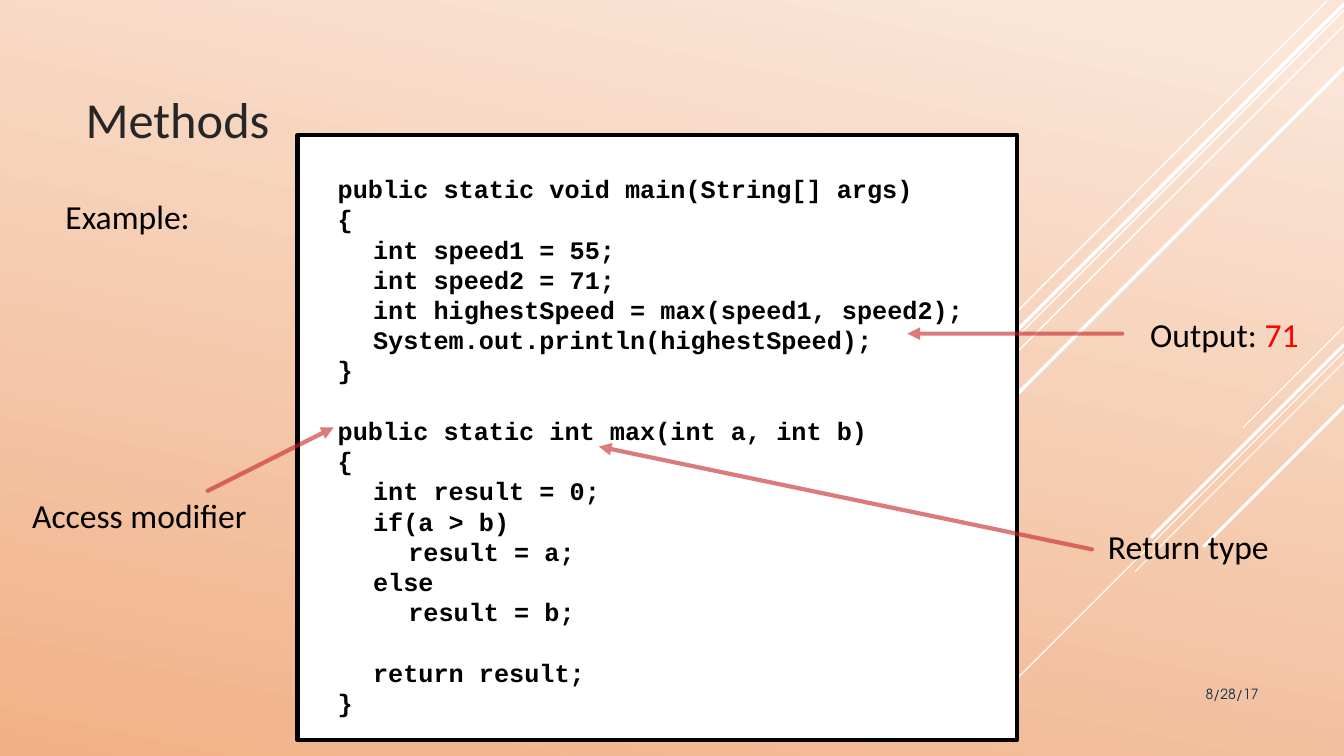
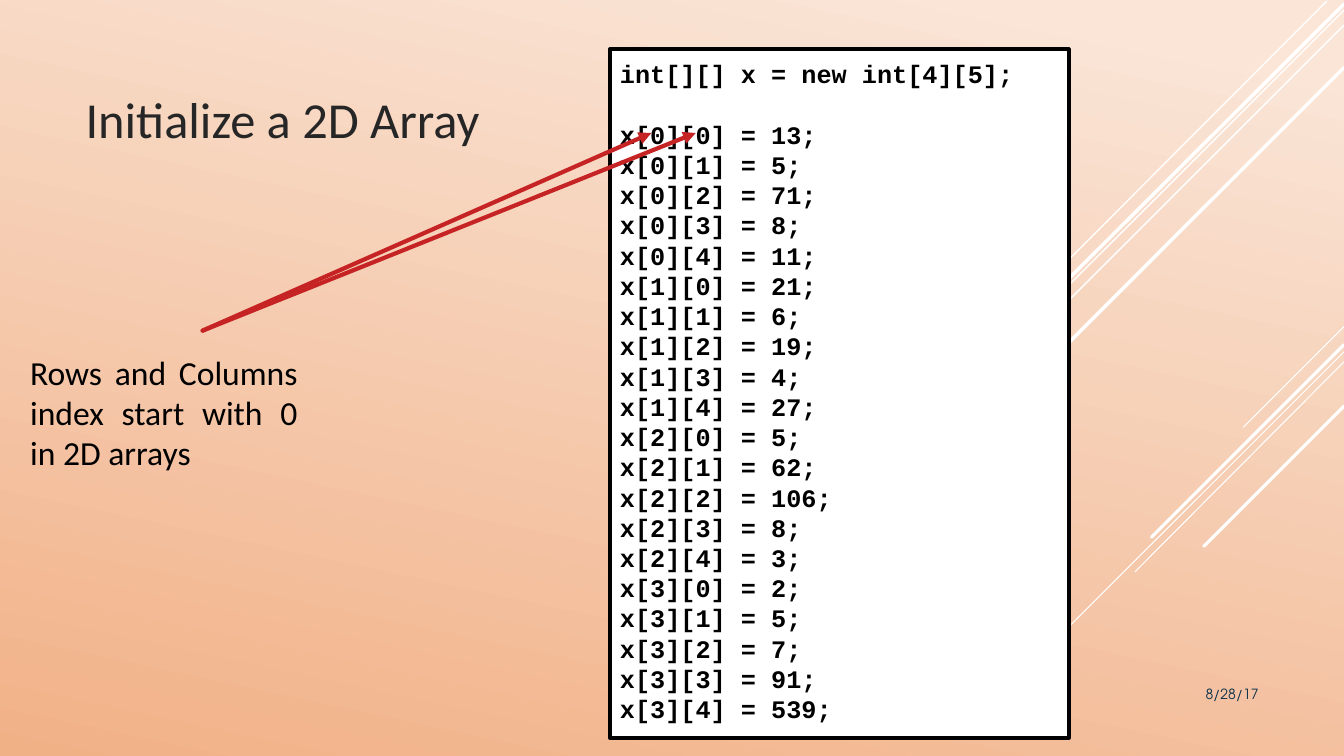
"""Build two Java teaching slides: methods and 2D array initialization."""
from typing import NamedTuple

import lxml.etree
import pptx
import pptx.dml.color
import pptx.enum.shapes
import pptx.enum.text
import pptx.oxml.ns
import pptx.presentation
import pptx.shapes.connector
import pptx.slide
import pptx.text.text
import pptx.util

PX = 9144
SLIDE_W, SLIDE_H = 1333, 750
BODY_FONT, CODE_FONT, DATE_FONT = "Calibri", "Courier New", "TeX Gyre Adventor"
BLACK, WHITE, RED = "000000", "FFFFFF", "FF0000"
TITLE_INK, DATE_INK, ARROW_RED = "262626", "0A304A", "C62324"
GLOW_TOP, GLOW_BOTTOM = "FAE5D7", "F1B187"
CODE_PITCH = 21.6
CODE_TAB = 35

ALIGN = pptx.enum.text.PP_ALIGN
ANCHOR = pptx.enum.text.MSO_ANCHOR


class Box(NamedTuple):
    left: int
    top: int
    width: int
    height: int


class Line(NamedTuple):
    x1: int
    y1: int
    x2: int
    y2: int
    weight: float


class Run(NamedTuple):
    text: str
    color: str = BLACK


class Label(NamedTuple):
    box: Box
    runs: tuple[Run, ...]


class CodePanel(NamedTuple):
    box: Box
    code: str
    inset_left: int
    inset_top: int


class Lesson(NamedTuple):
    title: str
    panel: CodePanel
    labels: tuple[Label, ...]
    arrows: tuple[Line, ...]
    arrow_opacity: int


STRIPES = (
    Line(1333, 324, 1233, 424, 0.75),
    Line(1333, 349, 1007, 675, 0.75),
    Line(1333, 359, 1126, 567, 0.75),
    Line(1333, 342, 1142, 533, 2.25),
    Line(1333, 403, 1194, 542, 2.25),
    Line(1316, 1, 900, 418, 1),
    Line(1333, 10, 668, 675, 1),
    Line(1333, 25, 791, 567, 1),
    Line(1333, 4, 802, 534, 2.5),
    Line(1333, 67, 858, 542, 2.5),
)

METHODS_CODE = """public static void main(String[] args)
{
\tint speed1 = 55;
\tint speed2 = 71;
\tint highestSpeed = max(speed1, speed2);
\tSystem.out.println(highestSpeed);
}

public static int max(int a, int b)
{
\tint result = 0;
\tif(a > b)
\t\tresult = a;
\telse
\t\tresult = b;

\treturn result;
}"""

ARRAY_VALUES = (
    (13, 5, 71, 8, 11),
    (21, 6, 19, 4, 27),
    (5, 62, 106, 8, 3),
    (2, 5, 7, 91, 539),
)
ARRAY_CODE = "int[][] x = new int[4][5];\n\n" + "\n".join(
    f"x[{row}][{column}] = {value};"
    for row, values in enumerate(ARRAY_VALUES)
    for column, value in enumerate(values)
)

LESSONS = (
    Lesson(
        "Methods",
        CodePanel(Box(295, 134, 714, 600), METHODS_CODE, 40, 38),
        (
            Label(Box(55, 189, 152, 59), (Run("Example:"),)),
            Label(Box(1131, 306, 173, 59), (Run("Output: "), Run("71", RED))),
            Label(Box(1089, 517, 203, 59), (Run("Return type"),)),
            Label(Box(22, 486, 253, 59), (Run("Access modifier"),)),
        ),
        (
            Line(1113, 331, 900, 331, 3),
            Line(1083, 545, 594, 443, 3),
            Line(206, 487, 331, 424, 3),
        ),
        60,
    ),
    Lesson(
        "Initialize a 2D Array",
        CodePanel(Box(605, 49, 455, 683), ARRAY_CODE, 10, 9),
        (
            Label(
                Box(20, 344, 285, 159),
                (Run("Rows and Columns index start with 0 in 2D arrays"),),
            ),
        ),
        (Line(201, 328, 646, 132, 3), Line(201, 328, 690, 132, 3)),
        100,
    ),
)


def px(length: int) -> int:
    """Turn pixels into EMU."""
    return pptx.util.Emu(length * PX)


def rgb(value: str) -> pptx.dml.color.RGBColor:
    """Turn a hex string into a colour."""
    return pptx.dml.color.RGBColor.from_string(value)


def add_run(paragraph: pptx.text.text._Paragraph, run: Run, font: str, size: int,
            bold: bool = False) -> None:
    """Append one formatted run to a paragraph."""
    piece = paragraph.add_run()
    piece.text = run.text
    piece.font.name = font
    piece.font.size = pptx.util.Pt(size)
    piece.font.bold = bold
    piece.font.color.rgb = rgb(run.color)


def add_text(slide: pptx.slide.Slide, box: Box, runs: tuple[Run, ...], font: str,
             size: int, align: ALIGN, anchor: ANCHOR = ANCHOR.TOP) -> None:
    """Draw a one-paragraph text box."""
    frame = slide.shapes.add_textbox(*map(px, box)).text_frame
    frame.word_wrap = True
    frame.vertical_anchor = anchor
    paragraph = frame.paragraphs[0]
    paragraph.alignment = align
    for run in runs:
        add_run(paragraph, run, font, size)


def add_line(slide: pptx.slide.Slide, line: Line,
             color: str) -> pptx.shapes.connector.Connector:
    """Draw a straight line with round ends and no shadow."""
    connector = slide.shapes.add_connector(
        pptx.enum.shapes.MSO_CONNECTOR.STRAIGHT,
        px(line.x1), px(line.y1), px(line.x2), px(line.y2),
    )
    connector.line.color.rgb = rgb(color)
    connector.line.width = pptx.util.Pt(line.weight)
    connector.get_or_add_ln().set("cap", "rnd")
    lxml.etree.SubElement(connector._element.spPr, pptx.oxml.ns.qn("a:effectLst"))
    return connector


def add_arrow(slide: pptx.slide.Slide, line: Line, opacity: int) -> None:
    """Draw a red arrow with the given opacity in percent."""
    stroke = add_line(slide, line, ARROW_RED).get_or_add_ln()
    if opacity < 100:
        color = stroke.find(".//" + pptx.oxml.ns.qn("a:srgbClr"))
        lxml.etree.SubElement(color, pptx.oxml.ns.qn("a:alpha"), val=str(opacity * 1000))
    lxml.etree.SubElement(stroke, pptx.oxml.ns.qn("a:tailEnd"), type="triangle")


def add_code(slide: pptx.slide.Slide, panel: CodePanel) -> None:
    """Draw a framed code listing, indenting by leading tabs."""
    shape = slide.shapes.add_shape(
        pptx.enum.shapes.MSO_SHAPE.RECTANGLE, *map(px, panel.box)
    )
    shape.shadow.inherit = False
    shape.fill.solid()
    shape.fill.fore_color.rgb = rgb(WHITE)
    shape.line.color.rgb = rgb(BLACK)
    shape.line.width = pptx.util.Pt(3)
    frame = shape.text_frame
    frame.word_wrap = True
    frame.vertical_anchor = ANCHOR.TOP
    frame.margin_left, frame.margin_top = px(panel.inset_left), px(panel.inset_top)
    for block_index, block in enumerate(panel.code.split("\n\n")):
        for line_index, source in enumerate(block.split("\n")):
            first = block_index == line_index == 0
            paragraph = frame.paragraphs[0] if first else frame.add_paragraph()
            paragraph.alignment = ALIGN.LEFT
            paragraph.line_spacing = pptx.util.Pt(CODE_PITCH)
            if block_index and not line_index:
                paragraph.space_before = pptx.util.Pt(CODE_PITCH)
            statement = source.lstrip("\t")
            depth = len(source) - len(statement)
            paragraph._p.get_or_add_pPr().set("marL", str(px(depth * CODE_TAB)))
            add_run(paragraph, Run(statement), CODE_FONT, 18, bold=True)


def add_backdrop(slide: pptx.slide.Slide) -> None:
    """Paint the gradient background and the white diagonal stripes."""
    fill = slide.background.fill
    fill.gradient()
    fill.gradient_angle = 360 - 102
    for stop, position, color in zip(
        fill.gradient_stops, (0.07, 1), (GLOW_TOP, GLOW_BOTTOM)
    ):
        stop.position = position
        stop.color.rgb = rgb(color)
    for stripe in STRIPES:
        add_line(slide, stripe, WHITE)


def add_lesson(deck: pptx.presentation.Presentation, lesson: Lesson) -> None:
    """Add one complete lesson slide."""
    slide = deck.slides.add_slide(deck.slide_layouts[6])
    add_backdrop(slide)
    add_code(slide, lesson.panel)
    add_text(slide, Box(75, 49, 875, 103), (Run(lesson.title, TITLE_INK),),
             BODY_FONT, 36, ALIGN.LEFT, ANCHOR.BOTTOM)
    for label in lesson.labels:
        add_text(slide, label.box, label.runs, BODY_FONT, 24, ALIGN.JUSTIFY)
    for arrow in lesson.arrows:
        add_arrow(slide, arrow, lesson.arrow_opacity)
    add_text(slide, Box(1083, 675, 175, 40), (Run("8/28/17", DATE_INK),),
             DATE_FONT, 10, ALIGN.RIGHT)


def main() -> None:
    """Build and save the deck."""
    deck = pptx.Presentation()
    deck.slide_width, deck.slide_height = px(SLIDE_W), px(SLIDE_H)
    for lesson in LESSONS:
        add_lesson(deck, lesson)
    deck.save("out.pptx")


if __name__ == "__main__":
    main()
